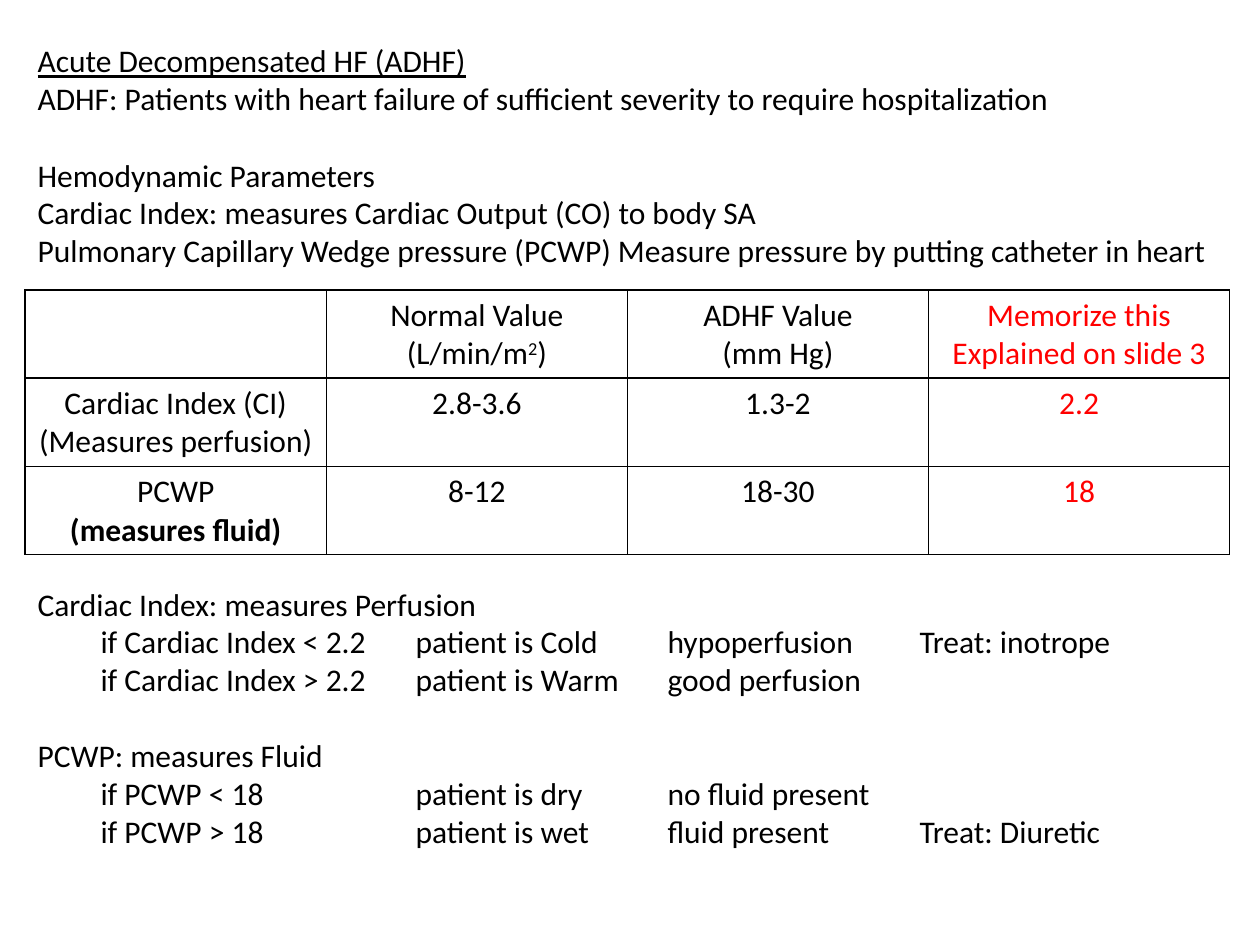
from lxml.etree import SubElement
from pptx import Presentation
from pptx.dml.color import RGBColor
from pptx.enum.text import MSO_AUTO_SIZE, PP_ALIGN
from pptx.oxml.ns import qn
from pptx.util import Inches, Pt

BLACK = RGBColor(0, 0, 0)
RED = RGBColor(255, 0, 0)

DEFINITIONS = [
    "Acute Decompensated HF (ADHF)",
    "ADHF: Patients with heart failure of sufficient severity to require hospitalization",
    "Hemodynamic Parameters",
    "Cardiac Index: measures Cardiac Output (CO) to body SA",
    "Pulmonary Capillary Wedge pressure (PCWP) Measure pressure by putting catheter in heart",
]
PARAMETERS = [
    ["", "Normal Value\n(L/min/m", "ADHF Value\n(mm Hg)", "Memorize this\nExplained on slide 3"],
    ["Cardiac Index (CI)\n(Measures perfusion)", "2.8-3.6", "1.3-2", "2.2"],
    ["PCWP\n(measures fluid)", "8-12", "18-30", "18"],
]
INTERPRETATION = [
    "Cardiac Index: measures Perfusion",
    "\tif Cardiac Index < 2.2\tpatient is Cold\thypoperfusion\tTreat: inotrope",
    "\tif Cardiac Index > 2.2\tpatient is Warm\tgood perfusion",
    "PCWP: measures Fluid",
    "\tif PCWP < 18\tpatient is dry\tno fluid present",
    "\tif PCWP > 18\tpatient is wet\tfluid present\tTreat: Diuretic",
]


class SlideWriter:
    font_name = "Calibri"
    font_size = Pt(18)
    section_gap = Pt(22)
    left = Inches(0.2)
    width = Inches(9.56)
    tab_stops = [Inches(0.5), Inches(3), Inches(5), Inches(7)]

    def __init__(self, slide):
        self.slide = slide

    def style(self, font, color=BLACK):
        font.name = self.font_name
        font.size = self.font_size
        font.color.rgb = color

    def text(self, top, height, lines, section_start):
        box = self.slide.shapes.add_textbox(self.left, top, self.width, height)
        frame = box.text_frame
        frame.word_wrap = True
        frame.auto_size = MSO_AUTO_SIZE.SHAPE_TO_FIT_TEXT
        frame.text = "\n".join(lines)
        for index, paragraph in enumerate(frame.paragraphs):
            if index == section_start:
                paragraph.space_before = self.section_gap
            if "\t" in lines[index]:
                self.add_tabs(paragraph)
            for run in paragraph.runs:
                self.style(run.font)
        return frame

    def add_tabs(self, paragraph):
        tabs = SubElement(paragraph._p.get_or_add_pPr(), qn("a:tabLst"))
        for stop in self.tab_stops:
            SubElement(tabs, qn("a:tab"), pos=str(stop), algn="l")

    def table(self, top, row_height, rows, highlight_column):
        frame = self.slide.shapes.add_table(
            len(rows), len(rows[0]), self.left, top, self.width, row_height * len(rows)
        )
        table = frame.table
        table.first_row = False
        table.horz_banding = False
        for row, values in enumerate(rows):
            for column, value in enumerate(values):
                color = RED if column == highlight_column else BLACK
                self.cell(table.cell(row, column), value, color)
        return table

    def cell(self, cell, value, color):
        cell.margin_left = cell.margin_right = Inches(0.09)
        cell.text_frame.text = value
        for paragraph in cell.text_frame.paragraphs:
            paragraph.alignment = PP_ALIGN.CENTER
            self.style(paragraph.font, color)
            for run in paragraph.runs:
                self.style(run.font, color)
        self.add_borders(cell)
        cell.fill.background()

    def add_borders(self, cell):
        properties = cell._tc.get_or_add_tcPr()
        for side in ("a:lnL", "a:lnR", "a:lnT", "a:lnB"):
            line = SubElement(properties, qn(side), w=str(Pt(1)))
            fill = SubElement(line, qn("a:solidFill"))
            SubElement(fill, qn("a:srgbClr"), val=str(BLACK))

    def add_run(self, paragraph, text, baseline=0):
        run = paragraph.add_run()
        run.text = text
        self.style(run.font)
        if baseline:
            run._r.get_or_add_rPr().set("baseline", str(baseline))


def main():
    presentation = Presentation()
    presentation.slide_width = Inches(10)
    presentation.slide_height = Inches(7.5)
    writer = SlideWriter(presentation.slides.add_slide(presentation.slide_layouts[6]))

    definitions = writer.text(Inches(0.28), Inches(1.92), DEFINITIONS, section_start=2)
    definitions.paragraphs[0].runs[0].font.underline = True

    parameters = writer.table(Inches(2.3), Inches(0.7), PARAMETERS, highlight_column=3)
    unit = parameters.cell(0, 1).text_frame.paragraphs[1]
    writer.add_run(unit, "2", baseline=30000)
    writer.add_run(unit, ")")
    parameters.cell(2, 0).text_frame.paragraphs[1].runs[0].font.bold = True

    writer.text(Inches(4.59), Inches(2.22), INTERPRETATION, section_start=3)
    presentation.save("out.pptx")


if __name__ == "__main__":
    main()
